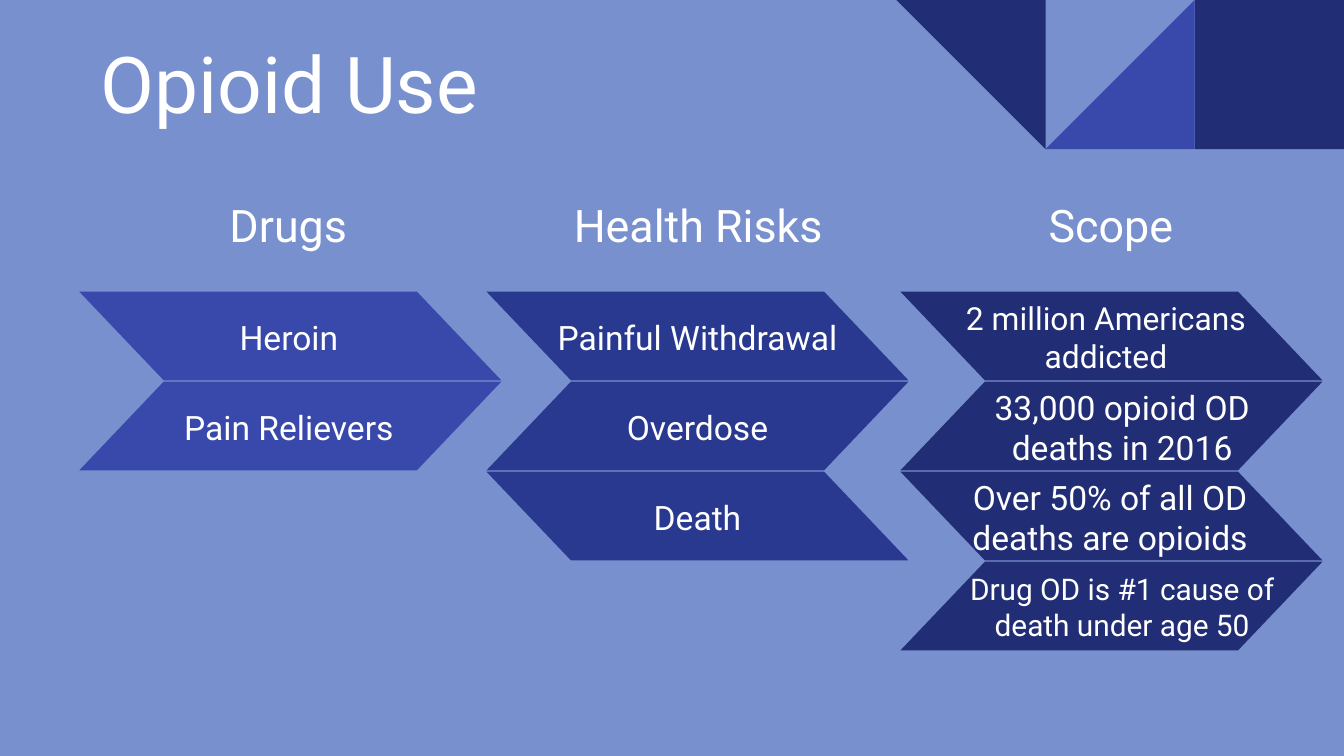
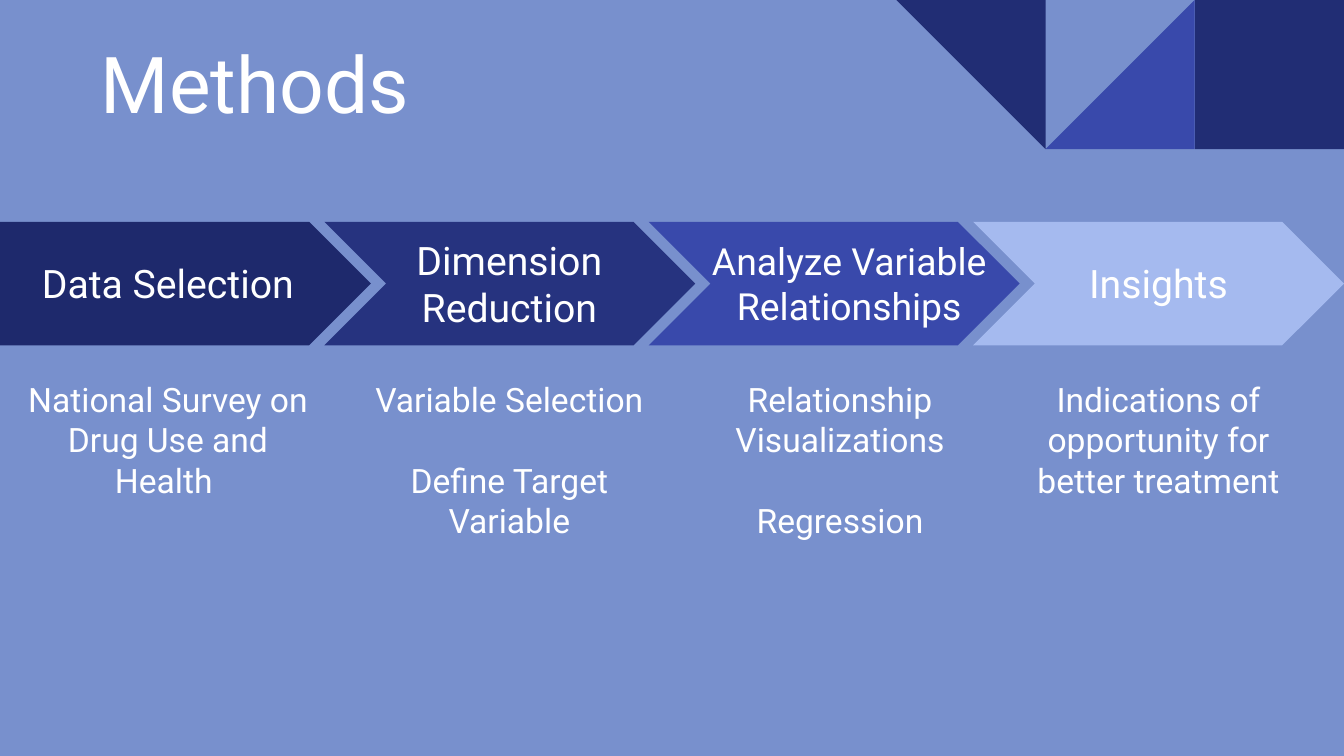
import pptx
import pptx.util
import pptx.dml.color
import pptx.enum.shapes
import pptx.enum.text
import lxml.etree

Inches = pptx.util.Inches
RGBColor = pptx.dml.color.RGBColor
SHAPE = pptx.enum.shapes.MSO_SHAPE
ANCHOR = pptx.enum.text.MSO_ANCHOR
ALIGN = pptx.enum.text.PP_ALIGN

SKY = RGBColor(0x78, 0x90, 0xCD)
NAVY = RGBColor(0x21, 0x2D, 0x74)
INDIGO = RGBColor(0x39, 0x49, 0xAB)
ROYAL = RGBColor(0x2A, 0x39, 0x90)
MIDNIGHT = RGBColor(0x1E, 0x29, 0x6C)
DEEP = RGBColor(0x26, 0x33, 0x7F)
PALE = RGBColor(0xA5, 0xBA, 0xEF)
WHITE = RGBColor(0xFF, 0xFF, 0xFF)
FONT = "Roboto"


def add_shape(shapes, kind, x, y, w, h, color, flip=False, rotation=0):
    sp = shapes.add_shape(kind, Inches(x), Inches(y), Inches(w), Inches(h))
    sp.shadow.inherit = False
    sp.fill.solid()
    sp.fill.fore_color.rgb = color
    sp.line.fill.background()
    sp.rotation = rotation
    if flip:
        sp.element.spPr.xfrm.set("flipH", "1")


def write(sp, box, paragraphs, size, anchor=ANCHOR.MIDDLE, align=ALIGN.CENTER):
    """Place a text box or placeholder; paragraphs are (text, space before) pairs."""
    sp.left, sp.top, sp.width, sp.height = [Inches(v) for v in box]
    tf = sp.text_frame
    tf.word_wrap = True
    tf.auto_size = pptx.enum.text.MSO_AUTO_SIZE.NONE
    tf.vertical_anchor = anchor
    tf.margin_left = tf.margin_right = tf.margin_top = tf.margin_bottom = Inches(0.1)
    for i, (text, gap) in enumerate(paragraphs):
        p = tf.add_paragraph() if i else tf.paragraphs[0]
        p.alignment = align
        p.space_before = pptx.util.Pt(gap)
        pPr = p._p.get_or_add_pPr()
        pPr.set("marL", "0")
        pPr.set("indent", "0")
        lxml.etree.SubElement(pPr, pptx.oxml.ns.qn("a:buNone"))
        r = p.add_run()
        r.text = text
        r.font.name = FONT
        r.font.size = pptx.util.Pt(size)
        r.font.bold = False
        r.font.color.rgb = WHITE


# Widescreen 16:9 deck
prs = pptx.Presentation()
prs.slide_width = Inches(10)
prs.slide_height = Inches(10 * 9 / 16)
bg = prs.slide_master.background.fill
bg.solid()
bg.fore_color.rgb = SKY

# Shared title and corner pattern
TILE = 1.11
for title in ("Opioid Use", "Methods"):
    s = prs.slides.add_slide(prs.slide_layouts[4])
    corner = s.shapes.add_group_shape().shapes
    add_shape(corner, SHAPE.RECTANGLE, 10 - TILE, 0, TILE, TILE, NAVY)
    add_shape(corner, SHAPE.RIGHT_TRIANGLE, 10 - 2 * TILE, 0, TILE, TILE, INDIGO, flip=True)
    add_shape(corner, SHAPE.RIGHT_TRIANGLE, 10 - 3 * TILE, 0, TILE, TILE, NAVY, rotation=180)
    write(s.shapes.title, (0.65, 0.14, 8.99, 0.92), [(title, 0)], 42,
          ANCHOR.BOTTOM, ALIGN.LEFT)

# Slide 1: columns of alternating slanted bars
s = prs.slides[0]
bodies = list(s.placeholders)[1:]
BAR_W, BAR_H, BAR_TOP, BAR_STEP = 3.14, 0.66, 2.17, 0.67
# heading, heading left, bar left, colour, items (text, size, text left)
columns = [
    ("Drugs", 0.75, 0.59, INDIGO, [("Heroin", 18, 0.9), ("Pain Relievers", 18, 0.9)]),
    ("Health Risks", 3.8, 3.62, ROYAL, [
        ("Painful Withdrawal", 18, 3.94), ("Overdose", 18, 3.94), ("Death", 18, 3.94)]),
    ("Scope", 6.87, 6.7, NAVY, [
        ("2 million Americans addicted", 17, 6.98),
        ("33,000 opioid OD deaths in 2016", 18, 7.1),
        ("Over 50% of all OD deaths are opioids", 18, 7.01),
        ("Drug OD is #1 cause of death under age 50", 16, 7.1)]),
]
for body, (heading, head_x, bar_x, color, items) in zip(bodies, columns):
    write(body, (head_x, 1.27, 2.79, 0.8), [(heading, 0)], 24)
    for i, (text, size, text_x) in enumerate(items):
        y = BAR_TOP + i * BAR_STEP
        add_shape(s.shapes, SHAPE.FLOWCHART_DATA, bar_x, y, BAR_W, BAR_H, color,
                  flip=i % 2 == 0)
        tb = s.shapes.add_textbox(0, 0, 0, 0)
        write(tb, (text_x, y + 0.01, 2.5, 0.65), [(text, 0)], size)
unused = bodies[-1].element
unused.getparent().remove(unused)

# Slide 2: process arrows with details below
s = prs.slides[1]
bodies = list(s.placeholders)[1:]
ARROW_STEP = 7.24 / 3
LINE = 21.5  # one line of detail text, in points
# label, size, colour, label left, detail left, details
steps = [
    ("Data Selection", 21, MIDNIGHT, 0.08, 0.08,
     [("National Survey on Drug Use and Health ", 0)]),
    ("Dimension Reduction", 21, DEEP, 2.62, 2.62,
     [("Variable Selection", 0), ("Define Target Variable", LINE)]),
    ("Analyze Variable Relationships", 20, INDIGO, 5.15, 5.08,
     [("Relationship", 0), ("Visualizations", 0), ("Regression", LINE)]),
    ("Insights", 21, PALE, 7.45, 7.45,
     [("Indications of opportunity for better treatment", 0)]),
]
for i, (label, size, color, label_x, detail_x, details) in enumerate(steps):
    kind = SHAPE.CHEVRON if i else SHAPE.PENTAGON
    add_shape(s.shapes, kind, i * ARROW_STEP, 1.65, 2.76, 0.92, color)
    tb = s.shapes.add_textbox(0, 0, 0, 0)
    write(tb, (label_x, 1.84, 2.34, 0.53), [(label, 0)], size)
    write(bodies[i], (detail_x, 2.72, 2.34, 2.41), details, 18, ANCHOR.TOP)

prs.save("out.pptx")
